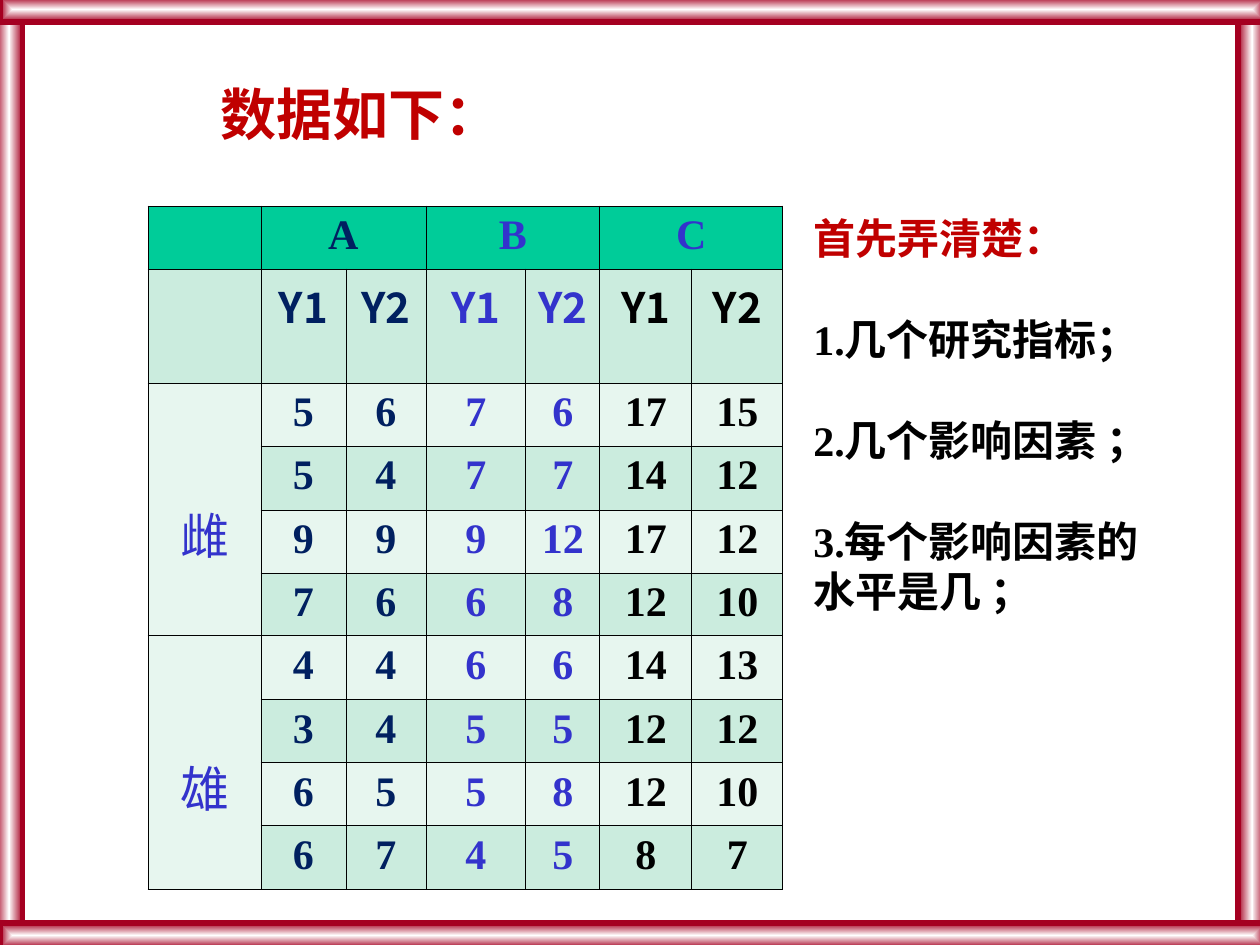
from dataclasses import dataclass
from typing import Any, NamedTuple

from lxml import etree
from pptx import Presentation
from pptx import util as u
from pptx.dml.color import RGBColor
from pptx.enum import lang, shapes, text
from pptx.oxml import parse_xml
from pptx.oxml.ns import nsdecls, qn

PX = u.Inches(1) // 126


@dataclass(frozen=True)
class Theme:
    red: str = "C00000"
    navy: str = "002060"
    blue: str = "3333CC"
    black: str = "000000"
    white: str = "FFFFFF"
    frame: str = "A50021"
    header: str = "00CC99"
    band_dark: str = "CBECDE"
    band_light: str = "E7F6EF"
    serif: str = "Times New Roman"
    sans: str = "Noto Sans CJK SC"
    title: int = 32
    sex: int = 28
    body: int = 24
    leading: float = 1.2


THEME = Theme()


class Box(NamedTuple):
    left: int
    top: int
    width: int
    height: int

    def emu(self) -> list[int]:
        return [side * PX for side in self]


class Style(NamedTuple):
    color: str
    size: int = THEME.body
    font: str = THEME.serif
    bold: bool = True


class Note(NamedTuple):
    box: Box
    lines: list[tuple[str, Style]]


class Group(NamedTuple):
    name: str
    color: str
    measure_color: str


FRAME = [
    Box(1238, -4, 28, 945),
    Box(-5, 0, 28, 945),
    Box(0, -3, 1265, 25),
    Box(0, 923, 1265, 25),
]
NOTES = [
    Note(Box(208, 73, 324, 80),
         [("数据如下：", Style(THEME.red, THEME.title, THEME.sans))]),
    Note(Box(801, 207, 369, 466), [
        ("首先弄清楚：", Style(THEME.red)),
        ("1.几个研究指标；", Style(THEME.black)),
        ("2.几个影响因素 ；", Style(THEME.black)),
        ("3.每个影响因素的水平是几 ；", Style(THEME.black)),
    ]),
]
GROUPS = [
    Group("A", THEME.navy, THEME.navy),
    Group("B", THEME.blue, THEME.blue),
    Group("C", THEME.blue, THEME.black),
]
MEASURES = ["Y1", "Y2"]
SEXES = {
    "雌": [(5, 6, 7, 6, 17, 15), (5, 4, 7, 7, 14, 12),
          (9, 9, 9, 12, 17, 12), (7, 6, 6, 8, 12, 10)],
    "雄": [(4, 4, 6, 6, 14, 13), (3, 4, 5, 5, 12, 12),
          (6, 5, 5, 8, 12, 10), (6, 7, 4, 5, 8, 7)],
}
TABLE = Box(148, 206, 635, 684)
COLUMNS = [113, 85, 80, 100, 74, 92, 91]
ROWS = [63, 114] + [63, 64, 63, 63, 64, 63, 63, 64]
SEX_INSET = 115
CELL_INSET = 9
NOTE_INSETS = {"margin_top": 6 * PX, "margin_right": 15 * PX}


def apply(target: Any, values: dict[str, Any]) -> None:
    for name, value in values.items():
        setattr(target, name, value)


def write(paragraph: Any, words: str, style: Style) -> None:
    run = paragraph.add_run()
    run.text = words
    apply(run.font, {
        "name": style.font,
        "size": u.Pt(style.size),
        "bold": style.bold,
        "language_id": lang.MSO_LANGUAGE_ID.SIMPLIFIED_CHINESE,
    })
    run.font.color.rgb = RGBColor.from_string(style.color)
    east_asian = etree.SubElement(run._r.get_or_add_rPr(), qn("a:ea"))
    east_asian.set("typeface", THEME.sans)


def draw_bar(slide: Any, box: Box) -> None:
    """Draw one frame edge, white along its middle and red at its rim."""
    bar = slide.shapes.add_shape(shapes.MSO_SHAPE.RECTANGLE, *box.emu())
    bar.shadow.inherit = False
    bar.line.color.rgb = RGBColor.from_string(THEME.frame)
    bar.line.width = u.Pt(3)
    bar.fill.solid()
    solid = bar._element.spPr.find(qn("a:solidFill"))
    solid.getparent().replace(solid, parse_xml(
        f'<a:gradFill {nsdecls("a")} rotWithShape="1"><a:gsLst>'
        f'<a:gs pos="0"><a:srgbClr val="{THEME.white}"/></a:gs>'
        f'<a:gs pos="100000"><a:srgbClr val="{THEME.frame}"/></a:gs></a:gsLst>'
        '<a:path path="rect"><a:fillToRect l="50000" t="50000" r="50000" b="50000"/>'
        '</a:path></a:gradFill>'))


def draw_note(slide: Any, note: Note) -> None:
    frame = slide.shapes.add_textbox(*note.box.emu()).text_frame
    apply(frame, {"word_wrap": True, **NOTE_INSETS})
    for index, (words, style) in enumerate(note.lines):
        paragraph = frame.add_paragraph() if index else frame.paragraphs[0]
        leading = u.Pt(style.size * THEME.leading)
        paragraph.line_spacing = leading
        if index:
            paragraph.space_before = leading
        paragraph._p.get_or_add_pPr().set("hangingPunct", "0")
        write(paragraph, words, style)


def paint_cell(cell: Any, color: str) -> None:
    cell.fill.solid()
    cell.fill.fore_color.rgb = RGBColor.from_string(color)
    properties = cell._tc.get_or_add_tcPr()
    for index, side in enumerate(("lnL", "lnR", "lnT", "lnB")):
        properties.insert(index, parse_xml(
            f'<a:{side} {nsdecls("a")} w="5715"><a:solidFill>'
            f'<a:srgbClr val="{THEME.black}"/></a:solidFill></a:{side}>'))


def fill_cell(cell: Any, words: str, style: Style) -> None:
    apply(cell, {"margin_left": CELL_INSET * PX, "margin_right": CELL_INSET * PX})
    paragraph = cell.text_frame.paragraphs[0]
    paragraph.alignment = text.PP_ALIGN.CENTER
    write(paragraph, words, style)


def draw_table(slide: Any) -> None:
    table = slide.shapes.add_table(len(ROWS), len(COLUMNS), *TABLE.emu()).table
    for column, width in zip(table.columns, COLUMNS):
        column.width = width * PX
    for index, (row, height) in enumerate(zip(table.rows, ROWS)):
        row.height = height * PX
        band = THEME.band_dark if index % 2 else THEME.band_light
        for cell in row.cells:
            paint_cell(cell, band if index else THEME.header)

    span = len(MEASURES)
    for index, group in enumerate(GROUPS):
        first = 1 + index * span
        heading = table.cell(0, first)
        heading.merge(table.cell(0, first + span - 1))
        fill_cell(heading, group.name, Style(group.color))
        for offset, measure in enumerate(MEASURES):
            fill_cell(table.cell(1, first + offset), measure,
                      Style(group.measure_color, font=THEME.sans))

    top = 2
    for sex, records in SEXES.items():
        label = table.cell(top, 0)
        label.merge(table.cell(top + len(records) - 1, 0))
        label.margin_top = SEX_INSET * PX
        fill_cell(label, sex, Style(THEME.blue, THEME.sex, bold=False))
        for row, record in enumerate(records, top):
            for column, value in enumerate(record):
                color = GROUPS[column // span].measure_color
                fill_cell(table.cell(row, column + 1), str(value), Style(color))
        top += len(records)


def main() -> None:
    deck = Presentation()
    apply(deck, {"slide_width": 1260 * PX, "slide_height": 945 * PX})
    slide = deck.slides.add_slide(deck.slide_layouts[6])
    for box in FRAME:
        draw_bar(slide, box)
    draw_table(slide)
    for note in NOTES:
        draw_note(slide, note)
    deck.save("out.pptx")


if __name__ == "__main__":
    main()
